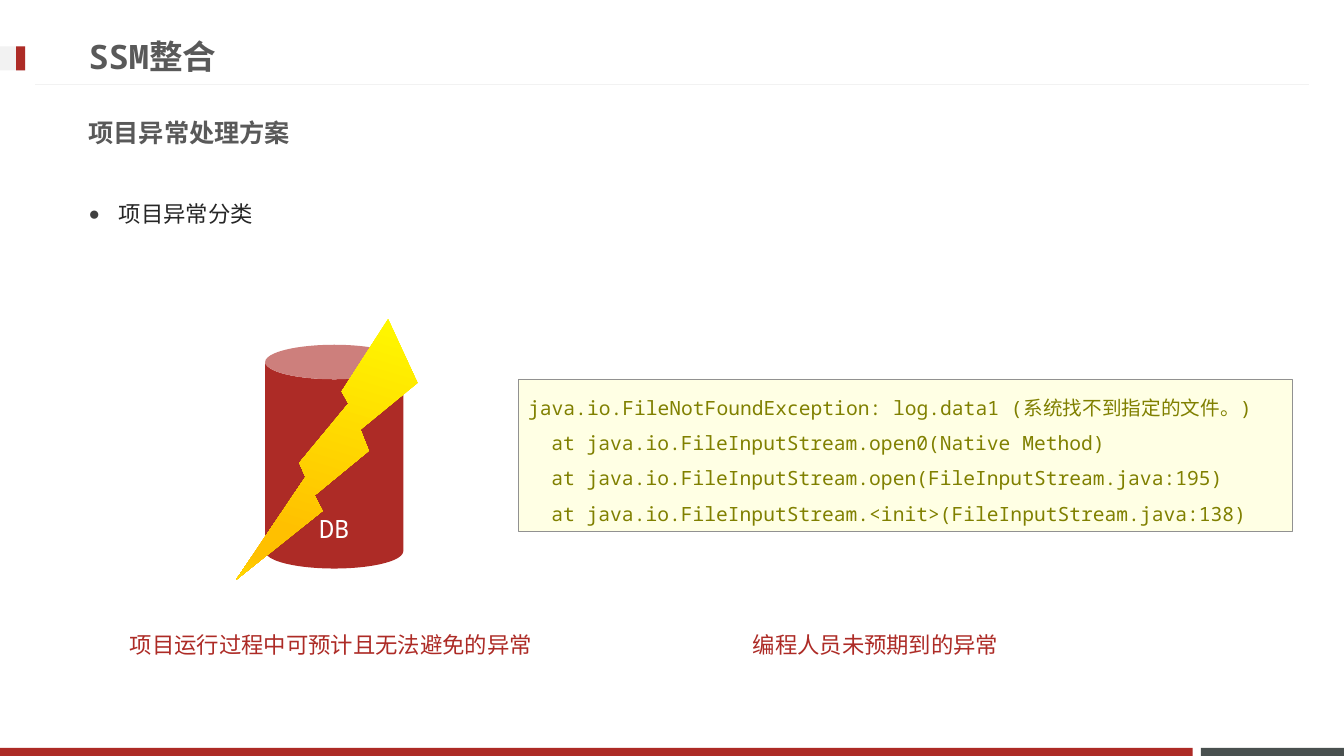
"""Build the slide on classes of project exceptions."""
import copy
from dataclasses import dataclass

import lxml.etree
import pptx
import pptx.dml.color
import pptx.enum.shapes
import pptx.enum.text
import pptx.oxml.ns
import pptx.util

Inches, Pt = pptx.util.Inches, pptx.util.Pt
PRESET = pptx.enum.shapes.MSO_SHAPE
ANCHOR = pptx.enum.text.MSO_ANCHOR
ALIGN = pptx.enum.text.PP_ALIGN
FONT = "Noto Sans Mono"
COLORS = {
    "red": "AD2B26", "slate": "49504F", "mist": "F2F2F2", "heading": "595959",
    "body": "262626", "bullet": "404040", "white": "FFFFFF", "cream": "FFFFE4",
    "border": "919191", "olive": "808000", "yellow": "FFFF00", "amber": "FFC000",
}


@dataclass
class Block:
    left: float
    top: float
    width: float
    height: float
    fill: str
    preset: int = PRESET.RECTANGLE


@dataclass
class Label:
    left: float
    top: float
    width: float
    height: float
    text: str
    style: "Style"


@dataclass
class Style:
    size: int
    color: str
    bold: bool = False
    align: int = ALIGN.LEFT
    anchor: int = ANCHOR.TOP
    spacing: float = 1.0
    before: float = 0


def rgb(name: str) -> pptx.dml.color.RGBColor:
    return pptx.dml.color.RGBColor.from_string(COLORS[name])


def draw_block(page, block: Block):
    shape = page.shapes.add_shape(
        block.preset, Inches(block.left), Inches(block.top),
        Inches(block.width), Inches(block.height))
    shape.shadow.inherit = False
    shape.fill.solid()
    shape.fill.fore_color.rgb = rgb(block.fill)
    shape.line.fill.background()
    return shape


def write(frame, lines: list[str], style: Style) -> None:
    frame.word_wrap = True
    frame.vertical_anchor = style.anchor
    for index, line in enumerate(lines):
        para = frame.add_paragraph() if index else frame.paragraphs[0]
        para.alignment = style.align
        para.line_spacing = style.spacing
        para.space_before = Pt(style.before)
        span = para.add_run()
        span.text = line
        span.font.name = FONT
        span.font.size = Pt(style.size)
        span.font.bold = style.bold
        span.font.color.rgb = rgb(style.color)


def draw_label(page, label: Label):
    box = page.shapes.add_textbox(
        Inches(label.left), Inches(label.top), Inches(label.width), Inches(label.height))
    write(box.text_frame, [label.text], label.style)
    return box


def indent(para, margin: float, first: float = 0) -> None:
    properties = para._p.get_or_add_pPr()
    properties.set("marL", str(Inches(margin)))
    properties.set("indent", str(Inches(first)))


def add_bullet(para) -> None:
    indent(para, 0.3, -0.3)
    properties = para._p.get_or_add_pPr()
    qn = pptx.oxml.ns.qn
    color = lxml.etree.SubElement(properties, qn("a:buClr"))
    lxml.etree.SubElement(color, qn("a:srgbClr"), val=COLORS["bullet"])
    lxml.etree.SubElement(properties, qn("a:buSzPct"), val="85000")
    lxml.etree.SubElement(properties, qn("a:buFont"), typeface=FONT)
    lxml.etree.SubElement(properties, qn("a:buChar"), char="●")


def draw_rule(page) -> None:
    rule = page.shapes.add_connector(
        pptx.enum.shapes.MSO_CONNECTOR.STRAIGHT,
        Inches(12.98), Inches(0.84), Inches(0.35), Inches(0.84))
    rule.line.color.rgb = rgb("mist")
    rule.line.width = Pt(0.75)
    lxml.etree.SubElement(rule._element.spPr, pptx.oxml.ns.qn("a:effectLst"))


def draw_bolt(page) -> None:
    bolt = draw_block(page, Block(2.73, 3.07, 1.17, 2.91, "yellow", PRESET.LIGHTNING_BOLT))
    bolt.rotation = 16.5
    bolt._element.spPr.xfrm.set("flipH", "1")
    bolt.fill.gradient()
    bolt.fill.gradient_angle = 270
    stops = bolt._element.spPr.find(".//" + pptx.oxml.ns.qn("a:gsLst"))
    stops.extend([copy.deepcopy(stop) for stop in stops])
    ramp = [(0, "yellow"), (0.74, "amber"), (0.83, "amber"), (1, "yellow")]
    for stop, (position, color) in zip(bolt.fill.gradient_stops, ramp):
        stop.position = position
        stop.color.rgb = rgb(color)


def draw_trace(page) -> None:
    trace = draw_block(page, Block(5.14, 3.76, 7.68, 1.51, "cream"))
    trace.line.color.rgb = rgb("border")
    trace.line.width = Pt(0.25)
    write(trace.text_frame, [
        "java.io.FileNotFoundException: log.data1 (系统找不到指定的文件。)",
        "at java.io.FileInputStream.open0(Native Method)",
        "at java.io.FileInputStream.open(FileInputStream.java:195)",
        "at java.io.FileInputStream.<init>(FileInputStream.java:138)",
    ], Style(14, "olive", spacing=1.5))
    for para in trace.text_frame.paragraphs[1:]:
        indent(para, 0.23)


deck = pptx.Presentation()
deck.slide_width, deck.slide_height = Inches(13.33), Inches(7.5)
page = deck.slides.add_slide(deck.slide_layouts[6])

for block in (
    Block(11.91, 7.42, 1.42, 0.08, "slate"),
    Block(0, 7.42, 11.83, 0.08, "red"),
    Block(0, 0.46, 0.25, 0.24, "mist"),
    Block(0.16, 0.46, 0.09, 0.24, "red"),
):
    draw_block(page, block)
draw_rule(page)

title = Style(24, "heading", bold=True, anchor=ANCHOR.MIDDLE)
subtitle = Style(18, "heading", bold=True, anchor=ANCHOR.MIDDLE, before=3.6)
topic = Style(16, "body", spacing=1.5, before=3.2)
caption = Style(16, "red", spacing=1.5, before=3.2)
centered = Style(16, "red", align=ALIGN.CENTER, spacing=1.5, before=3.2)

draw_label(page, Label(0.78, 0.27, 9.59, 0.57, "SSM整合", title))
draw_label(page, Label(0.78, 1.03, 11.76, 0.57, "项目异常处理方案", subtitle))
topic_box = draw_label(page, Label(0.78, 1.8, 11.76, 0.7, "项目异常分类", topic))
add_bullet(topic_box.text_frame.paragraphs[0])

database = draw_block(page, Block(2.63, 3.42, 1.37, 2.22, "red", PRESET.CAN))
write(database.text_frame, ["DB"],
      Style(18, "white", align=ALIGN.CENTER, anchor=ANCHOR.BOTTOM))
database.text_frame.margin_bottom = Inches(0.08)
draw_bolt(page)
draw_trace(page)

draw_label(page, Label(1.19, 6.08, 4.26, 0.78, "项目运行过程中可预计且无法避免的异常", caption))
draw_label(page, Label(7.33, 6.08, 2.71, 0.78, "编程人员未预期到的异常", centered))

deck.save("out.pptx")
